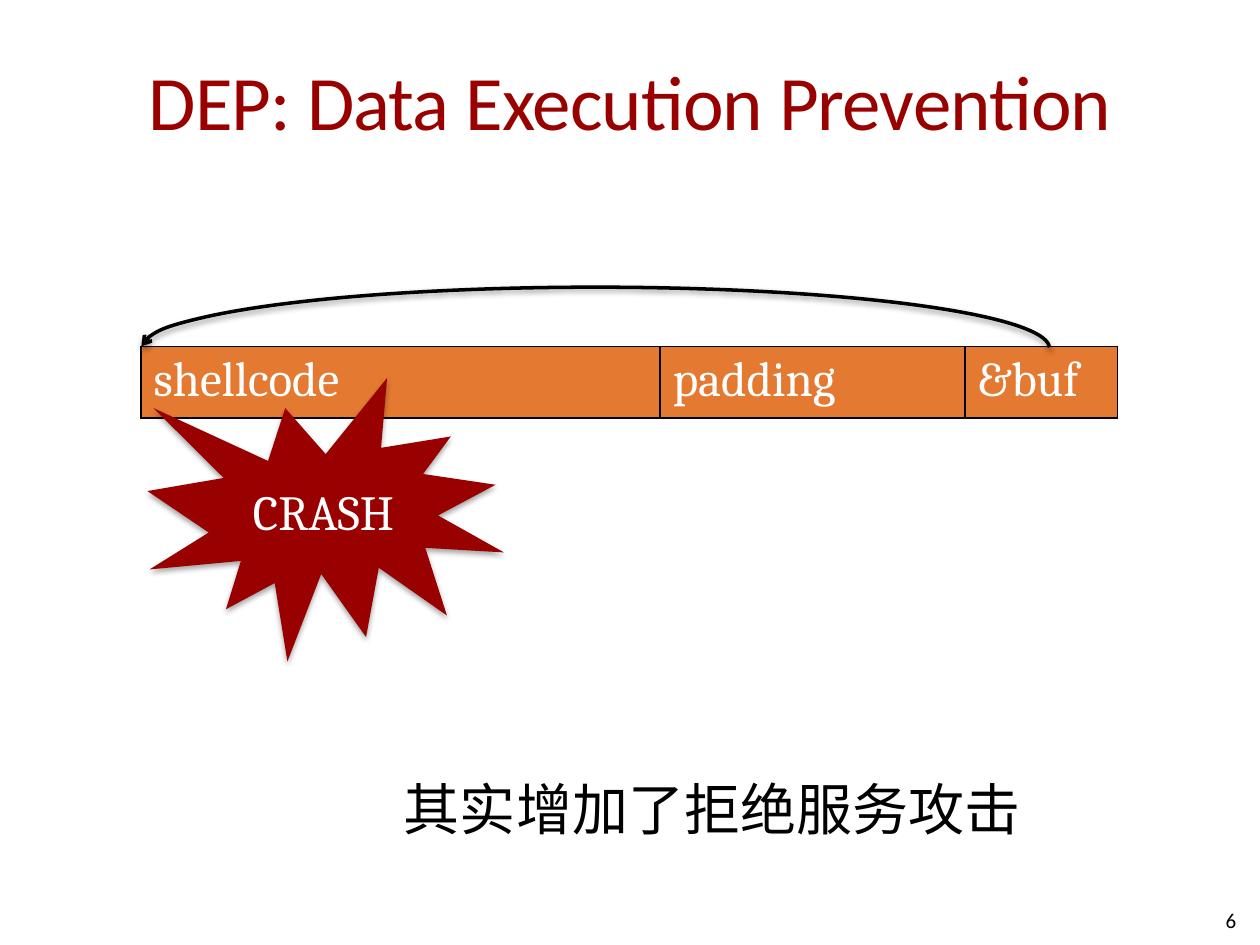
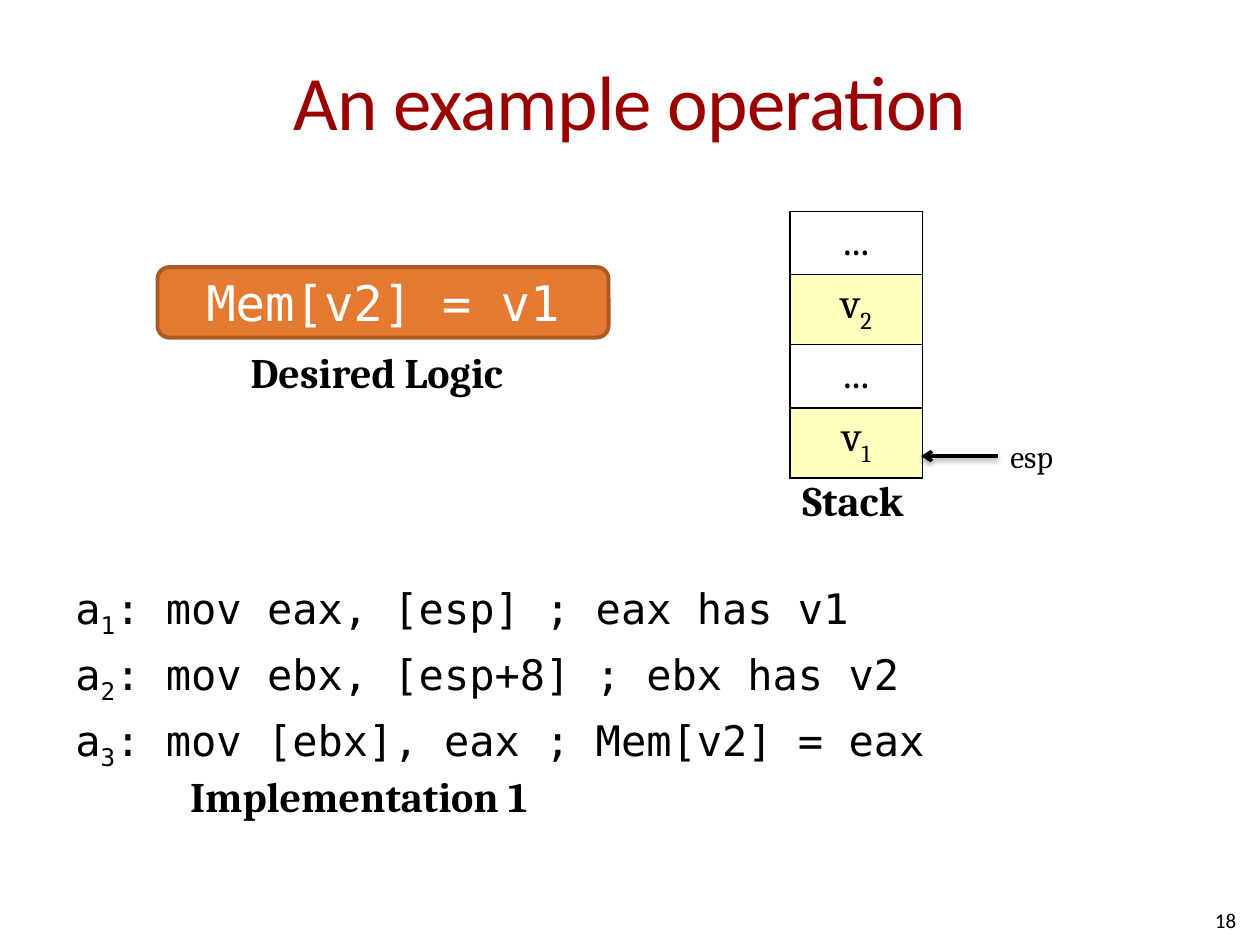
from lxml import etree
from pptx import Presentation
from pptx import util as u
from pptx.dml.color import RGBColor
from pptx.enum import shapes, text
from pptx.oxml import parse_xml
from pptx.oxml.ns import nsdecls, qn

RED = RGBColor(0x99, 0x00, 0x00)
ORANGE = RGBColor(0xE4, 0x79, 0x32)
RUST = RGBColor(0xA9, 0x5A, 0x25)
YELLOW = RGBColor(0xFF, 0xFF, 0xBF)
BLACK = RGBColor(0, 0, 0)
WHITE = RGBColor(0xFF, 0xFF, 0xFF)
LEFT, MID, RIGHT = text.PP_ALIGN.LEFT, text.PP_ALIGN.CENTER, text.PP_ALIGN.RIGHT
CENTRE = text.MSO_ANCHOR.MIDDLE

HEAD = {"name": "Calibri", "size": u.Pt(44)}
FOOT = {"name": "Calibri", "size": u.Pt(12)}
BIG = {"name": "Cambria", "size": u.Pt(28)}
BODY = {"name": "Cambria", "size": u.Pt(24)}
LABEL = {**BODY, "bold": True}
NOTE = {"name": "Cambria", "size": u.Pt(32)}
SMALL = {"name": "Cambria", "size": u.Pt(18)}
LOGIC = {"name": "DejaVu Sans Mono", "size": u.Pt(28)}
CODE = {"name": "DejaVu Sans Mono", "size": u.Pt(24)}


def put(frame, lines, font, hue=BLACK, align=LEFT):
    for row, line in enumerate(lines):
        para = frame.add_paragraph() if row else frame.paragraphs[0]
        para.alignment = align
        if row:
            para.space_before = u.Pt(5)
        for part, words in enumerate(line.split("_")):
            run = para.add_run()
            run.text = words
            for key, value in font.items():
                setattr(run.font, key, value)
            run.font.color.rgb = hue
            if part % 2:
                run.font._element.set("baseline", "-25000")


def shade(shape, alpha, gap):
    props = shape._element.spPr
    for old in props.findall(qn("a:effectLst")):
        props.remove(old)
    props.append(parse_xml(
        f'<a:effectLst {nsdecls("a")}><a:outerShdw blurRad="40000" dist="{gap}" '
        f'dir="5400000" rotWithShape="0"><a:srgbClr val="000000">'
        f'<a:alpha val="{alpha}"/></a:srgbClr></a:outerShdw></a:effectLst>'))


deck = Presentation()
deck.slide_width, deck.slide_height = u.Inches(10), u.Inches(7.5)
pages = []
for title, number in (("DEP: Data Execution Prevention", "6"), ("An example operation", "18")):
    page = deck.slides.add_slide(deck.slide_layouts[5])
    pages.append(page)
    head = page.shapes.title
    head.left, head.top = u.Inches(0.5), u.Inches(0.17)
    head.width, head.height = u.Inches(9), u.Inches(1.25)
    frame = head.text_frame
    frame.margin_left = frame.margin_right = 0
    frame.vertical_anchor = CENTRE
    put(frame, [title], HEAD, RED, MID)
    frame.paragraphs[0].runs[0].font._element.set("spc", "-50")
    foot = page.shapes.add_textbox(u.Inches(7.58), u.Inches(7.1), u.Inches(2.33), u.Inches(0.4))
    foot.text_frame.word_wrap = True
    foot.text_frame.vertical_anchor = CENTRE
    put(foot.text_frame, [number], FOOT, BLACK, RIGHT)
crash, demo = pages

for page, left, top, cols, rows, cells, font, hue, align in (
    (crash, 1.12, 2.75, [4.12, 2.42, 1.21], [0.55],
     [("shellcode", ORANGE), ("padding", ORANGE), ("&buf", ORANGE)], BIG, WHITE, LEFT),
    (demo, 6.27, 1.68, [1.05], [0.49, 0.53, 0.49, 0.53],
     [("...", None), ("v_2", YELLOW), ("...", None), ("v_1", YELLOW)], BODY, BLACK, MID),
):
    grid = page.shapes.add_table(
        len(rows), len(cols), u.Inches(left), u.Inches(top),
        u.Inches(sum(cols)), u.Inches(sum(rows))).table
    grid.first_row = grid.horz_banding = False
    for col, width in zip(grid.columns, cols):
        col.width = u.Inches(width)
    for row, height in zip(grid.rows, rows):
        row.height = u.Inches(height)
    for cell, (words, fill) in zip(grid.iter_cells(), cells):
        put(cell.text_frame, [words], font, hue, align)
        props = cell._tc.get_or_add_tcPr()
        for side in ("lnL", "lnR", "lnT", "lnB"):
            props.append(parse_xml(
                f'<a:{side} {nsdecls("a")} w="12700"><a:solidFill>'
                f'<a:srgbClr val="000000"/></a:solidFill></a:{side}>'))
        if fill:
            cell.fill.solid()
            cell.fill.fore_color.rgb = fill
        else:
            cell.fill.background()

arc = crash.shapes.add_shape(
    shapes.MSO_SHAPE.ARC, u.Inches(1.12), u.Inches(2.28), u.Inches(7.21), u.Inches(0.97))
arc.adjustments[0], arc.adjustments[1] = 0.08, 107.85
arc.fill.background()
arc._element.spPr.find(qn("a:xfrm")).set("flipV", "1")
esp = demo.shapes.add_connector(
    shapes.MSO_CONNECTOR.STRAIGHT, u.Inches(7.92), u.Inches(3.62), u.Inches(7.31), u.Inches(3.62))
for arrow in (arc, esp):
    arrow.line.color.rgb = BLACK
    arrow.line.width = u.Pt(2)
    etree.SubElement(arrow.line._get_or_add_ln(), qn("a:tailEnd"), type="arrow")
    shade(arrow, 38000, 20000)

for page, kind, left, top, width, height, words, font, fill, edge in (
    (crash, shapes.MSO_SHAPE.EXPLOSION1, 1.17, 3, 2.83, 2.25, "CRASH", BIG, RED, None),
    (demo, shapes.MSO_SHAPE.ROUNDED_RECTANGLE, 1.25, 2.12, 3.58, 0.56,
     "Mem[v2] = v1", LOGIC, ORANGE, RUST),
):
    shape = page.shapes.add_shape(
        kind, u.Inches(left), u.Inches(top), u.Inches(width), u.Inches(height))
    shape.shadow.inherit = False
    shape.fill.solid()
    shape.fill.fore_color.rgb = fill
    if edge:
        shape.line.color.rgb = edge
        shape.line.width = u.Pt(2.25)
    else:
        shape.line.fill.background()
        shade(shape, 35000, 23000)
    shape.text_frame.vertical_anchor = CENTRE
    put(shape.text_frame, [words], font, WHITE, MID)

code = [
    "a_1_: mov eax, [esp] ; eax has v1",
    "a_2_: mov ebx, [esp+8] ; ebx has v2",
    "a_3_: mov [ebx], eax ; Mem[v2] = eax",
]
for page, left, top, width, height, lines, font, align, wrap in (
    (crash, 3.06, 6.1, 5.14, 0.64, ["其实增加了拒绝服务攻击"], NOTE, RIGHT, False),
    (demo, 0.5, 4.57, 7.42, 1.58, code, CODE, LEFT, True),
    (demo, 1.41, 6.07, 5.59, 0.5, ["Implementation 1"], LABEL, LEFT, False),
    (demo, 1.89, 2.7, 2.31, 0.5, ["Desired Logic"], LABEL, LEFT, False),
    (demo, 6.27, 3.72, 1.03, 0.5, ["Stack"], LABEL, LEFT, False),
    (demo, 7.92, 3.42, 0.58, 0.4, ["esp"], SMALL, LEFT, False),
):
    box = page.shapes.add_textbox(
        u.Inches(left), u.Inches(top), u.Inches(width), u.Inches(height))
    box.text_frame.word_wrap = wrap
    if not wrap:
        box.text_frame.auto_size = text.MSO_AUTO_SIZE.SHAPE_TO_FIT_TEXT
    put(box.text_frame, lines, font, BLACK, align)

deck.save("out.pptx")
